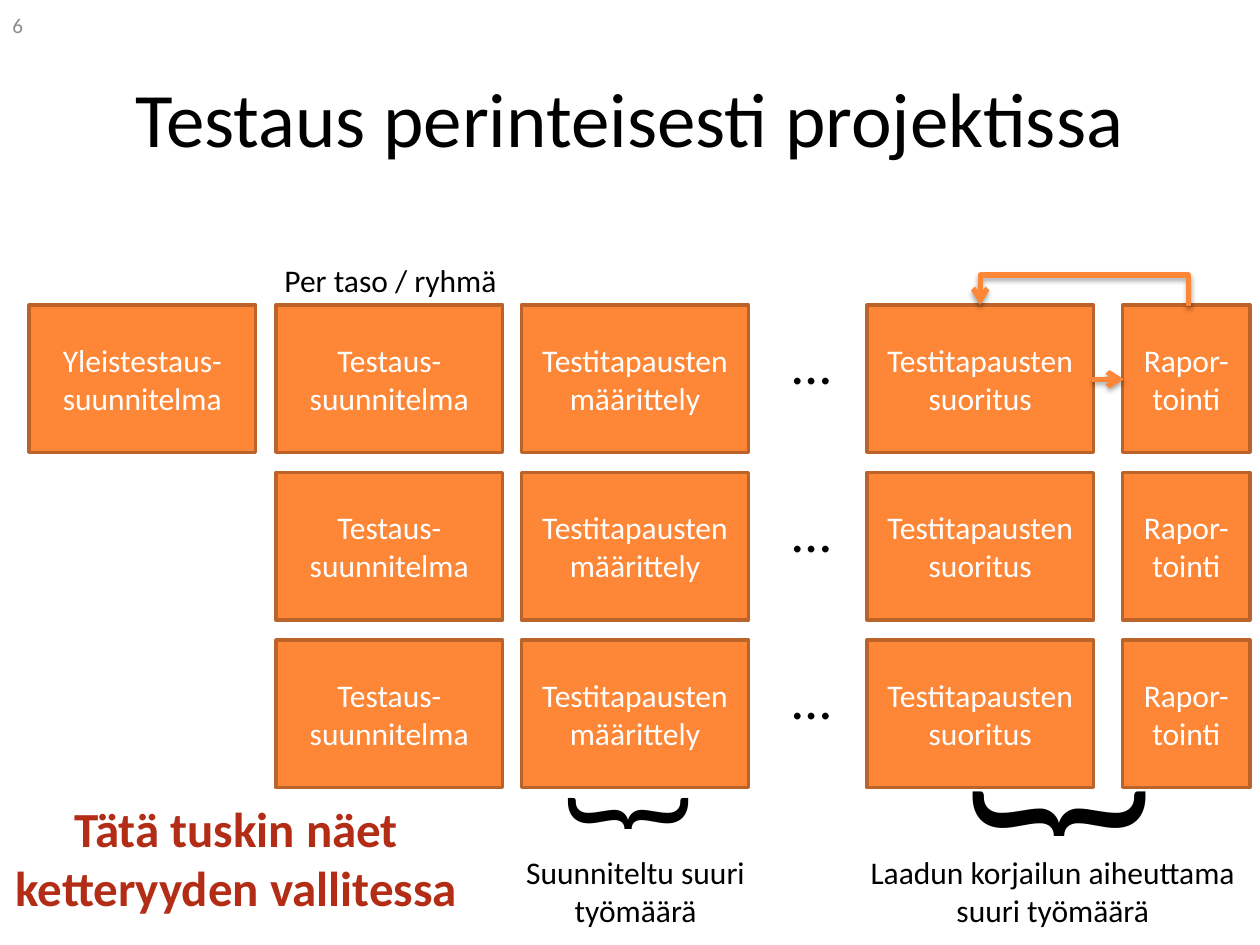
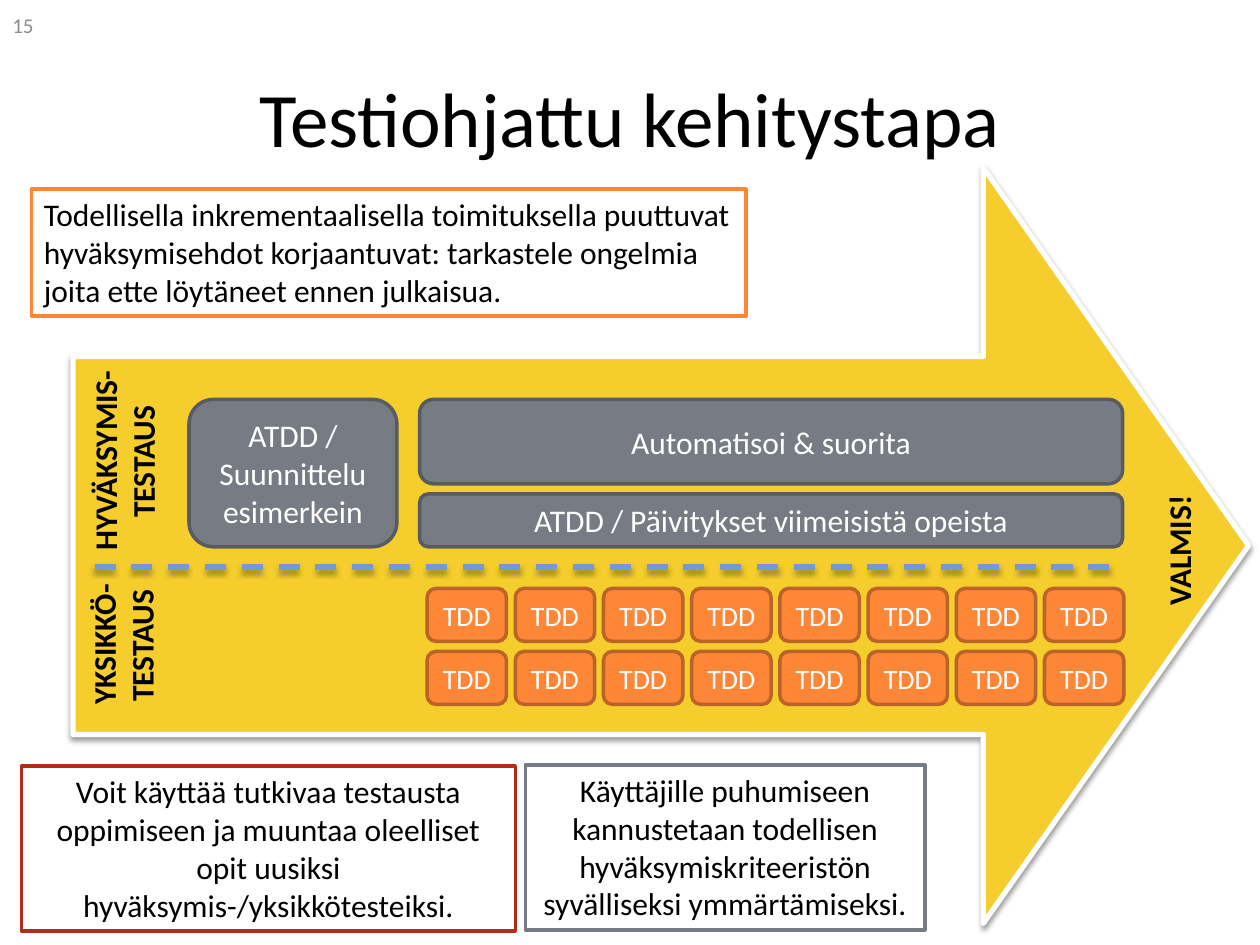
from dataclasses import dataclass
from lxml.etree import SubElement as Sub
from pptx import Presentation
from pptx.dml.color import RGBColor as Rgb
from pptx.enum.dml import MSO_LINE as Dash
from pptx.enum.shapes import MSO_CONNECTOR as Link, MSO_SHAPE as Form
from pptx.enum.text import MSO_ANCHOR as Anchor, PP_ALIGN as Align
from pptx.oxml.ns import qn
from pptx.util import Inches, Pt


@dataclass(frozen=True)
class Theme:
    font: str = "Calibri"
    black: str = "000000"
    white: str = "FFFFFF"
    orange: str = "FE8637"
    rust: str = "BC6329"
    gray: str = "777C84"
    slate: str = "585C62"
    gold: str = "F5CD2D"
    blue: str = "7598D9"
    red: str = "B32C16"
    pale: str = "8C8C8C"
    title: int = 44
    dots: int = 32
    alert: int = 28
    body: int = 18
    small: int = 16
    number: int = 12
    edge: int = 2
    heavy: int = 3


T = Theme()


def put(page, text, box, size=T.body, color=T.black, form=None, fill=None,
        edge=None, align=Align.CENTER, anchor=Anchor.TOP, bold=False, turn=0):
    spot = [Inches(v) for v in box]
    if form is None:
        item = page.shapes.add_textbox(*spot)
    else:
        item = page.shapes.add_shape(form, *spot)
        item.shadow.inherit = False
        item.fill.solid()
        item.fill.fore_color.rgb = Rgb.from_string(fill)
        item.line.color.rgb = Rgb.from_string(edge)
        item.line.width = Pt(T.edge)
    item.rotation = turn
    frame = item.text_frame
    frame.word_wrap = True
    frame.vertical_anchor = anchor
    frame.text = text
    for para in frame.paragraphs:
        para.alignment = align
        for run in para.runs:
            run.font.name = T.font
            run.font.size = Pt(size)
            run.font.bold = bold
            run.font.color.rgb = Rgb.from_string(color)
    return item


def cast(item, color, dist=1.8, alpha=35, arrow=False):
    item.line.color.rgb = Rgb.from_string(color)
    item.line.width = Pt(T.heavy)
    if arrow:
        Sub(item.line._get_or_add_ln(), qn("a:tailEnd"), type="arrow")
    props = item.element.spPr
    effect = props.find(qn("a:effectLst"))
    if effect is None:
        effect = Sub(props, qn("a:effectLst"))
    shade = Sub(effect, qn("a:outerShdw"), blurRad=str(Pt(3.1)),
                dist=str(Pt(dist)), dir="5400000", rotWithShape="0")
    tone = Sub(shade, qn("a:srgbClr"), val=T.black)
    Sub(tone, qn("a:alpha"), val=str(alpha * 1000))


deck = Presentation()
deck.slide_width = Inches(10)
deck.slide_height = Inches(7.5)
blank = deck.slide_layouts[6]

pages = []
for title, number in [("Testaus perinteisesti projektissa", "6"),
                      ("Testiohjattu kehitystapa", "15")]:
    page = deck.slides.add_slide(blank)
    if number == "15":
        big = put(page, "", (0.58, 1.33, 9.33, 6), form=Form.RIGHT_ARROW,
                  fill=T.gold, edge=T.white)
        big.adjustments[0] = 0.5
        big.adjustments[1] = 0.351
        cast(big, T.white, dist=1.6, alpha=38)
    put(page, title, (0.5, 0.3, 9, 1.25), T.title, anchor=Anchor.MIDDLE)
    put(page, number, (0, 0, 2.33, 0.4), T.number, T.pale,
        align=Align.LEFT, anchor=Anchor.MIDDLE)
    pages.append(page)
old, new = pages

steps = [("Yleistestaus-suunnitelma", 0.23, 1.8, 1),
         ("Testaus-suunnitelma", 2.19, 1.8, 3),
         ("Testitapausten määrittely", 4.14, 1.8, 3),
         ("Testitapausten suoritus", 6.88, 1.8, 3),
         ("Rapor-tointi", 8.91, 1.01, 3)]
for name, left, wide, count in steps:
    for row in range(count):
        put(old, name, (left, 2.42 + 1.33 * row, wide, 1.17), color=T.white,
            form=Form.RECTANGLE, fill=T.orange, edge=T.rust,
            anchor=Anchor.MIDDLE)
for row in range(3):
    put(old, "…", (5.7, 2.56 + 1.33 * row, 1.48, 0.64), T.dots)

put(old, "Per taso / ryhmä", (2.03, 2.02, 2.14, 0.4))
for text, box, brace, size in [
        ("Suunniteltu suuri työmäärä", (3.91, 6.72, 2.27, 0.71),
         (4.67, 5.88, 0.86, 1.45), 80),
        ("Laadun korjailun aiheuttama suuri työmäärä",
         (6.56, 6.72, 3.59, 0.71), (8.14, 5.51, 0.86, 2.04), 115)]:
    put(old, text, box)
    put(old, "}", brace, size, align=Align.LEFT, turn=90)
put(old, "Tätä tuskin näet\vketteryyden vallitessa", (0, 6.29, 3.75, 1.04),
    T.alert, T.red, bold=True)

back = old.shapes.add_connector(Link.ELBOW, Inches(8.6), Inches(3.25),
                                Inches(8.61), Inches(1.6))
back.element.spPr.find(qn("a:xfrm")).set("rot", "16200000")
geom = back.element.spPr.find(qn("a:prstGeom"))
guides = geom.find(qn("a:avLst"))
if guides is None:
    guides = Sub(geom, qn("a:avLst"))
Sub(guides, qn("a:gd"), name="adj1", fmla="val 2500000")
ahead = old.shapes.add_connector(Link.STRAIGHT, Inches(8.67), Inches(3.01),
                                 Inches(8.92), Inches(3.01))
for wire in (back, ahead):
    cast(wire, T.orange, arrow=True)

for text, box in [
        ("ATDD / Suunnittelu esimerkein", (1.5, 3.17, 1.65, 1.17)),
        ("Automatisoi & suorita", (3.33, 3.17, 5.58, 0.67)),
        ("ATDD / Päivitykset viimeisistä opeista", (3.33, 3.92, 5.58, 0.42))]:
    put(new, text, box, color=T.white, form=Form.ROUNDED_RECTANGLE,
        fill=T.gray, edge=T.slate, anchor=Anchor.MIDDLE)
for row in range(2):
    for col in range(8):
        put(new, "TDD", (3.39 + 0.7 * col, 4.67 + 0.5 * row, 0.63, 0.42),
            T.small, T.white, Form.ROUNDED_RECTANGLE, T.orange, T.rust,
            anchor=Anchor.MIDDLE)

split = new.shapes.add_connector(Link.STRAIGHT, Inches(0.75), Inches(4.5),
                                 Inches(8.91), Inches(4.5))
split.line.dash_style = Dash.DASH
cast(split, T.blue)

for text, box in [("YKSIKKÖ-TESTAUS", (0.35, 4.77, 1.25, 0.71)),
                  ("HYVÄKSYMIS-TESTAUS", (0.15, 3.31, 1.67, 0.71)),
                  ("VALMIS!", (8.73, 4.17, 1.25, 0.4))]:
    put(new, text, box, bold=True, turn=270)

for text, box, edge, align in [
        ("Voit käyttää tutkivaa testausta oppimiseen ja muuntaa oleelliset "
         "opit uusiksi hyväksymis-/yksikkötesteiksi.",
         (0.17, 6.08, 3.92, 1.31), T.red, Align.CENTER),
        ("Todellisella inkrementaalisella toimituksella puuttuvat "
         "hyväksymisehdot korjaantuvat: tarkastele ongelmia joita ette "
         "löytäneet ennen julkaisua.",
         (0.25, 1.5, 5.67, 1.01), T.orange, Align.LEFT),
        ("Käyttäjille puhumiseen kannustetaan todellisen "
         "hyväksymiskriteeristön syvälliseksi ymmärtämiseksi.",
         (4.17, 6.07, 3.17, 1.31), T.gray, Align.CENTER)]:
    put(new, text, box, form=Form.RECTANGLE, fill=T.white, edge=edge,
        align=align)

deck.save("out.pptx")
